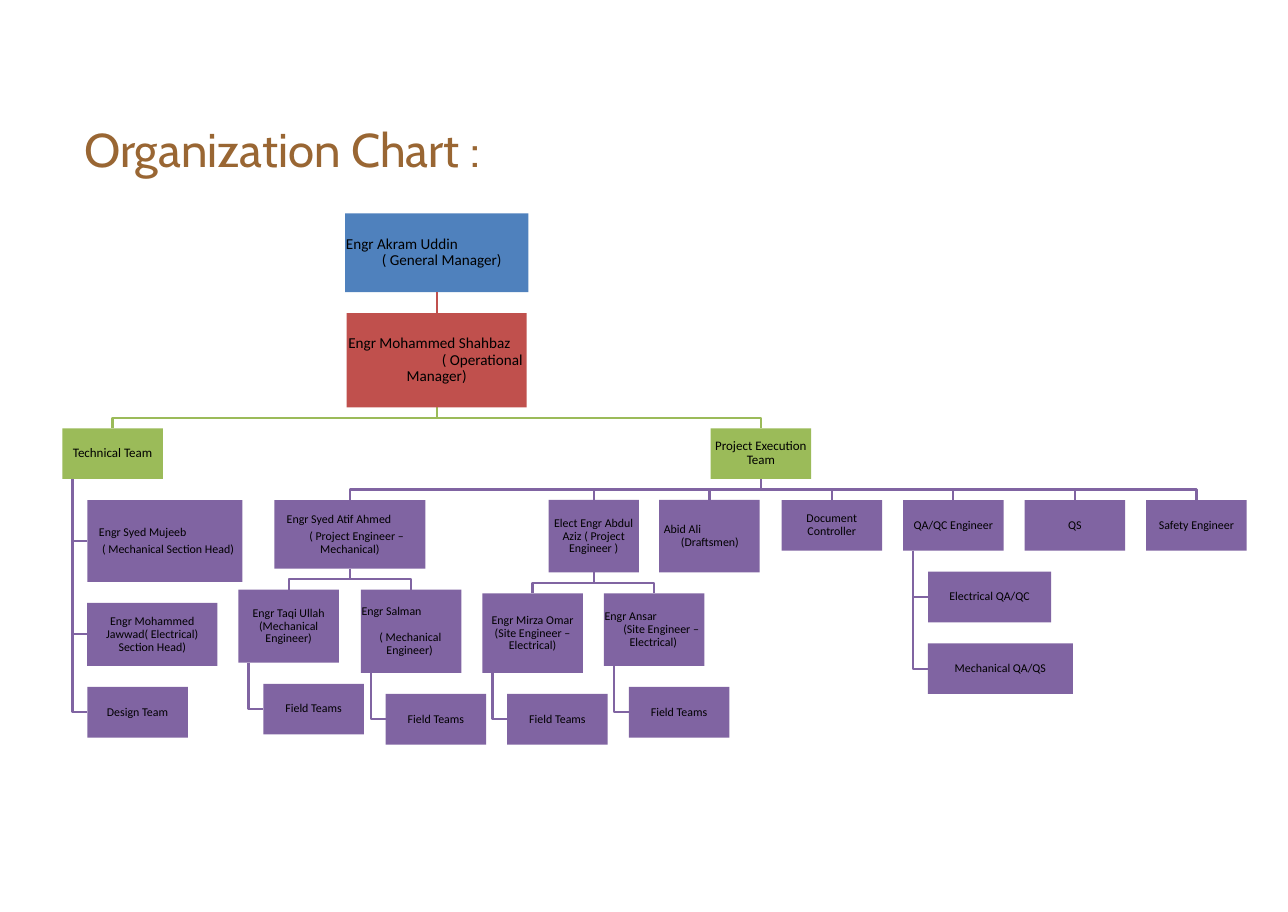
import pptx
import pptx.util
import pptx.dml.color
import pptx.enum.shapes
import pptx.enum.text
import pptx.oxml.ns
from lxml import etree

Inches, Pt = pptx.util.Inches, pptx.util.Pt
ALIGN = pptx.enum.text.PP_ALIGN
ANCHOR = pptx.enum.text.MSO_ANCHOR
KIND = pptx.enum.shapes

# Content
TITLE = "Organization Chart :"
COLORS = {"title": "996633", "text": "000000", "blue": "4F81BD",
          "red": "C0504D", "green": "9BBB59", "purple": "8064A2"}
LEVELS = [("blue", 14), ("red", 14), ("green", 12), ("purple", 11)]
GAP, STEP, SPINE, INSET = 0.27, 0.32, 0.13, 0.01
W, H = 1.29, 0.65

# Each box: key, parent, left (None hangs it on the parent's side spine),
# width, height, paragraphs. A paragraph is centred text, or a tuple of
# text, left indent, first-line indent, space before.
BOXES = [
    ("gm", None, 4.43, 2.35, 1.01,
     [("Engr Akram Uddin", 0, 0, 0), ("( General Manager)", 0.46, 0, 0)]),
    ("om", "gm", 4.45, 2.31, 1.21,
     [("Engr Mohammed Shahbaz", 0.01, 0, 0),
      ("( Operational Manager)", 0.76, 0.45, 0)]),
    ("tech", "om", 0.8, W, H, ["Technical Team"]),
    ("exec", "om", 9.12, W, H, ["Project Execution Team"]),
    ("mujeeb", "tech", None, 1.99, 1.05,
     [("Engr Syed Mujeeb", 0.14, 0, 0),
      ("( Mechanical Section Head)", 0.18, 0, 4)]),
    ("jawwad", "tech", None, 1.67, 0.81,
     ["Engr Mohammed Jawwad( Electrical) Section Head)"]),
    ("design", "tech", None, W, H, ["Design Team"]),
    ("atif", "exec", 3.52, 1.94, 0.88,
     [("Engr Syed Atif Ahmed", 0.15, 0, 0),
      ("( Project Engineer – Mechanical)", 0.58, -0.14, 4)]),
    ("aziz", "exec", 7.04, 1.16, 0.93,
     ["Elect Engr Abdul Aziz ( Project Engineer )"]),
    ("abid", "exec", 8.46, W, 0.93,
     [("Abid Ali", 0.05, 0, 0), ("(Draftsmen)", 0.27, 0, 0)]),
    ("docs", "exec", 10.03, W, H, ["Document Controller"]),
    ("qa", "exec", 11.59, W, H, ["QA/QC Engineer"]),
    ("qs", "exec", 13.15, W, H, ["QS"]),
    ("safety", "exec", 14.71, W, H, ["Safety Engineer"]),
    ("taqi", "atif", 3.06, W, 0.94, ["Engr Taqi Ullah (Mechanical Engineer)"]),
    ("salman", "atif", 4.63, W, 1.07,
     [("Engr Salman", 0, 0, 0), ("( Mechanical Engineer)", 0.32, -0.09, 12)]),
    ("omar", "aziz", 6.19, W, 1.02,
     ["Engr Mirza Omar (Site Engineer – Electrical)"]),
    ("ansar", "aziz", 7.75, W, 0.93,
     [("Engr Ansar", 0, 0, 0),
      ("(Site Engineer – Electrical)", 0.32, -0.08, 0)]),
    ("team1", "taqi", None, W, H, ["Field Teams"]),
    ("team2", "salman", None, W, H, ["Field Teams"]),
    ("team3", "omar", None, W, H, ["Field Teams"]),
    ("team4", "ansar", None, W, H, ["Field Teams"]),
    ("elec", "qa", None, 1.58, H, ["Electrical QA/QC"]),
    ("mech", "qa", None, 1.86, H, ["Mechanical QA/QS"]),
]


def tint(name):
    return pptx.dml.color.RGBColor.from_string(COLORS[name])


def add_run(para, text, size, font, color):
    run = para.add_run()
    run.text = text
    run.font.size, run.font.name = Pt(size), font
    run.font.color.rgb = tint(color)


def place():
    """Work out left, top, width, height and level of every box."""
    spots, floor = {}, {}
    for key, boss, left, wide, high, _ in BOXES:
        if boss is None:
            spots[key] = (left, 2.74, wide, high, 0)
            continue
        x, y, _, h, level = spots[boss]
        top = y + h + GAP
        if left is None:
            left, top = x + STEP, floor.get(boss, top)
            floor[boss] = top + high + GAP
        spots[key] = (left, top, wide, high, min(level + 1, 3))
    return spots


def draw_elbow(slide, points, color):
    points = [(Inches(x), Inches(y)) for x, y in points]
    maker = slide.shapes.build_freeform(*points[0])
    maker.add_line_segments(points[1:], close=False)
    line = maker.convert_to_shape()
    line.shadow.inherit = False
    line.fill.background()
    line.line.color.rgb, line.line.width = tint(color), Pt(2)


def draw_box(slide, spot, paras):
    color, size = LEVELS[spot[4]]
    box = slide.shapes.add_shape(KIND.MSO_SHAPE.RECTANGLE,
                                 *[Inches(v) for v in spot[:4]])
    box.shadow.inherit = False
    box.fill.solid()
    box.fill.fore_color.rgb = tint(color)
    box.line.fill.background()
    frame = box.text_frame
    frame.word_wrap, frame.vertical_anchor = True, ANCHOR.MIDDLE
    frame.margin_left = frame.margin_right = Inches(INSET)
    frame.margin_top = frame.margin_bottom = Inches(INSET)
    for i, item in enumerate(paras):
        para = frame.add_paragraph() if i else frame.paragraphs[0]
        para.line_spacing, para.alignment = 0.9, ALIGN.CENTER
        text = item
        if isinstance(item, tuple):
            text, left, first, before = item
            para.alignment = ALIGN.LEFT
            para.space_before = Pt(before)
            props = para._p.get_or_add_pPr()
            props.set("marL", str(Inches(left)))
            props.set("indent", str(Inches(first)))
        add_run(para, text, size, "Calibri", "text")
    return box


def main():
    deck = pptx.Presentation()
    deck.slide_width, deck.slide_height = Inches(16.53), Inches(11.71)
    slide = deck.slides.add_slide(deck.slide_layouts[5])

    # Title
    title = slide.shapes.title
    title.left, title.top = Inches(0.98), Inches(1.49)
    title.width, title.height = Inches(10.67), Inches(0.84)
    title.text_frame.vertical_anchor = ANCHOR.MIDDLE
    para = title.text_frame.paragraphs[0]
    para.alignment = ALIGN.LEFT
    add_run(para, TITLE, 43.7, "Cabin", "title")

    # Elbow lines, behind the boxes
    spots = place()
    for key, boss, left, *_ in BOXES:
        if boss in (None, "gm"):
            continue
        x, y, w, h, level = spots[key]
        bx, by, bw, bh, _ = spots[boss]
        base, mid, end = by + bh, bx + bw / 2, x + w / 2
        if left is None:
            points = [(bx + SPINE, base), (bx + SPINE, y + h / 2),
                      (x, y + h / 2)]
        else:
            bend = base + GAP / 2
            points = [(mid, base), (mid, bend), (end, bend), (end, y)]
        draw_elbow(slide, points, LEVELS[level][0])

    # Boxes
    boxes = {key: draw_box(slide, spots[key], paras)
             for key, *_, paras in BOXES}

    # Straight line between the two managers
    link = slide.shapes.add_connector(KIND.MSO_CONNECTOR.STRAIGHT, 0, 0, 0, 0)
    link.begin_connect(boxes["gm"], 2)
    link.end_connect(boxes["om"], 0)
    link.line.color.rgb, link.line.width = tint("red"), Pt(2)
    etree.SubElement(link._element.spPr, pptx.oxml.ns.qn("a:effectLst"))

    deck.save("out.pptx")


if __name__ == "__main__":
    main()
